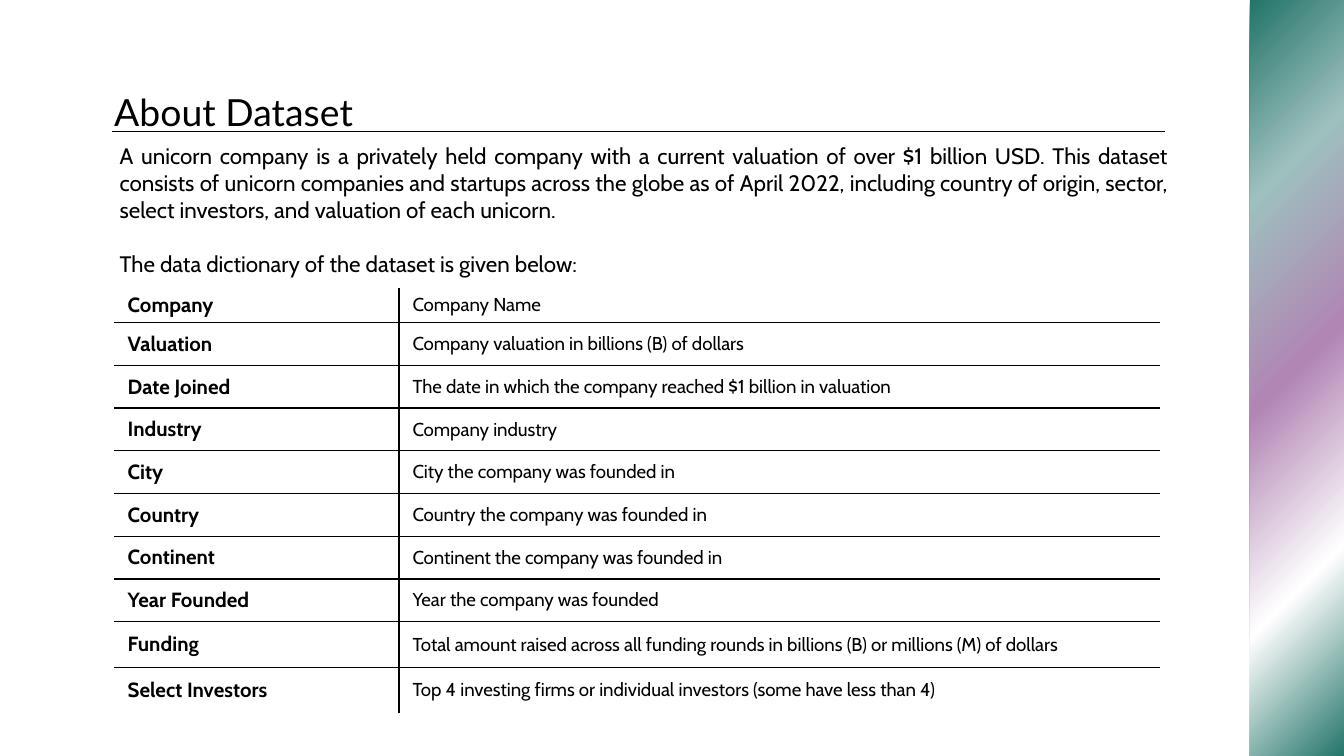
import pptx
import pptx.dml.color
import pptx.enum.shapes
import pptx.enum.text
import pptx.oxml
import pptx.oxml.ns
import pptx.util

Pt = pptx.util.Pt
ALIGN = pptx.enum.text.PP_ALIGN
ANCHOR = pptx.enum.text.MSO_ANCHOR
BLACK = "000000"
STOPS = [(0, "207368"), (24, "9EC0BE"), (49, "B185B4"), (75, "FFFFFF"), (100, "207368")]
INTRO = [
    "A unicorn company is a privately held company with a current valuation of over "
    "$1 billion USD. This dataset consists of unicorn companies and startups across "
    "the globe as of April 2022, including country of origin, sector, select investors, "
    "and valuation of each unicorn.",
    "The data dictionary of the dataset is given below:",
]
FIELDS = [
    ("Company", "Company Name"),
    ("Valuation", "Company valuation in billions (B) of dollars"),
    ("Date Joined", "The date in which the company reached $1 billion in valuation"),
    ("Industry", "Company industry"),
    ("City", "City the company was founded in"),
    ("Country", "Country the company was founded in"),
    ("Continent", "Continent the company was founded in"),
    ("Year Founded", "Year the company was founded"),
    ("Funding", "Total amount raised across all funding rounds in billions (B) or millions (M) of dollars"),
    ("Select Investors", "Top 4 investing firms or individual investors (some have less than 4)"),
]
WIDTHS = [152.6, 407.6]
HEIGHTS = [18.7] + [22.9] * 7 + [24.5] * 2


def color(code):
    return pptx.dml.color.RGBColor.from_string(code)


def node(tag, **attrs):
    item = pptx.oxml.parse_xml(f"<a:{tag} {pptx.oxml.ns.nsdecls('a')}/>")
    for name, value in attrs.items():
        item.set(name, str(value))
    return item


def tint(code):
    fill = node("solidFill")
    fill.append(node("srgbClr", val=color(code)))
    return fill


def style(para, font, size, bold=False):
    for run in para.runs:
        run.font.name = font
        run.font.size = Pt(size)
        run.font.bold = bold
        run.font.color.rgb = color(BLACK)


def place(shape, left, top, width, height):
    shape.left, shape.top = Pt(left), Pt(top)
    shape.width, shape.height = Pt(width), Pt(height)


def inset(frame, left, top, right, bottom):
    frame.margin_left, frame.margin_top = Pt(left), Pt(top)
    frame.margin_right, frame.margin_bottom = Pt(right), Pt(bottom)
    frame.vertical_anchor = ANCHOR.TOP
    frame.word_wrap = True
    frame.auto_size = pptx.enum.text.MSO_AUTO_SIZE.NONE


def add_band(slide):
    kind = pptx.enum.shapes.MSO_SHAPE.RECTANGLE
    band = slide.shapes.add_shape(kind, Pt(669.6), Pt(-2), Pt(50.4), Pt(409))
    band.shadow.inherit = False
    band.line.fill.background()
    band.fill.gradient()
    band.fill.gradient_angle = 315
    stops = next(band._element.iter(pptx.oxml.ns.qn("a:gsLst")))
    for old in list(stops):
        stops.remove(old)
    for share, code in STOPS:
        stop = node("gs", pos=share * 1000)
        stop.append(node("srgbClr", val=color(code)))
        stops.append(stop)


def add_title(slide):
    title = slide.shapes.title
    place(title, 54, 40.3, 607, 45.4)
    inset(title.text_frame, 7.2, 7.2, 7.2, 7.2)
    title.text_frame.text = "About Dataset"
    para = title.text_frame.paragraphs[0]
    para.alignment = ALIGN.LEFT
    style(para, "Lato", 20)


def add_intro(slide):
    body = slide.placeholders[1]
    place(body, 56.9, 69.1, 569.5, 28.8)
    inset(body.text_frame, 7.2, 7.2, 0, 7.2)
    body.text_frame.text = "\n".join(INTRO)
    for para, gap in zip(body.text_frame.paragraphs, (0, 14.6)):
        para.alignment = ALIGN.JUSTIFY
        para.space_before = Pt(gap)
        props = para._p.get_or_add_pPr()
        props.set("marL", "0")
        props.set("indent", "0")
        props.append(node("buNone"))
        style(para, "Cabin", 12)


def add_rule(slide):
    kind = pptx.enum.shapes.MSO_CONNECTOR.STRAIGHT
    rule = slide.shapes.add_connector(kind, Pt(59.8), Pt(70.4), Pt(624.2), Pt(70.4))
    rule.line.width = Pt(0.75)
    rule.line.color.rgb = color(BLACK)
    rule._element.spPr.append(node("effectLst"))


def set_edges(cell, edges):
    props = cell._tc.get_or_add_tcPr()
    for spot, (side, shown) in enumerate(edges.items()):
        edge = node(f"ln{side}", w=Pt(0.75))
        edge.append(tint(BLACK) if shown else node("noFill"))
        props.insert(spot, edge)


def add_table(slide):
    rows, cols = len(FIELDS), len(WIDTHS)
    frame = slide.shapes.add_table(
        rows, cols, Pt(61.2), Pt(154.2), Pt(sum(WIDTHS)), Pt(sum(HEIGHTS)))
    table = frame.table
    table.first_row = table.horz_banding = False
    for col, width in zip(table.columns, WIDTHS):
        col.width = Pt(width)
    for row, height in zip(table.rows, HEIGHTS):
        row.height = Pt(height)
    for r, field in enumerate(FIELDS):
        for c, text in enumerate(field):
            cell = table.cell(r, c)
            cell.fill.background()
            cell.vertical_anchor = ANCHOR.MIDDLE
            cell.margin_left = cell.margin_right = Pt(7.2)
            cell.margin_top = cell.margin_bottom = Pt(0)
            cell.text_frame.text = text
            style(cell.text_frame.paragraphs[0], "Cabin", 11 - c, c == 0)
            set_edges(cell, {"L": c > 0, "R": c < cols - 1, "T": r > 0, "B": r < rows - 1})


def main():
    deck = pptx.Presentation()
    deck.slide_width, deck.slide_height = Pt(720), Pt(405)
    slide = deck.slides.add_slide(deck.slide_layouts[1])
    add_band(slide)
    add_title(slide)
    add_table(slide)
    add_intro(slide)
    add_rule(slide)
    deck.save("out.pptx")


if __name__ == "__main__":
    main()
